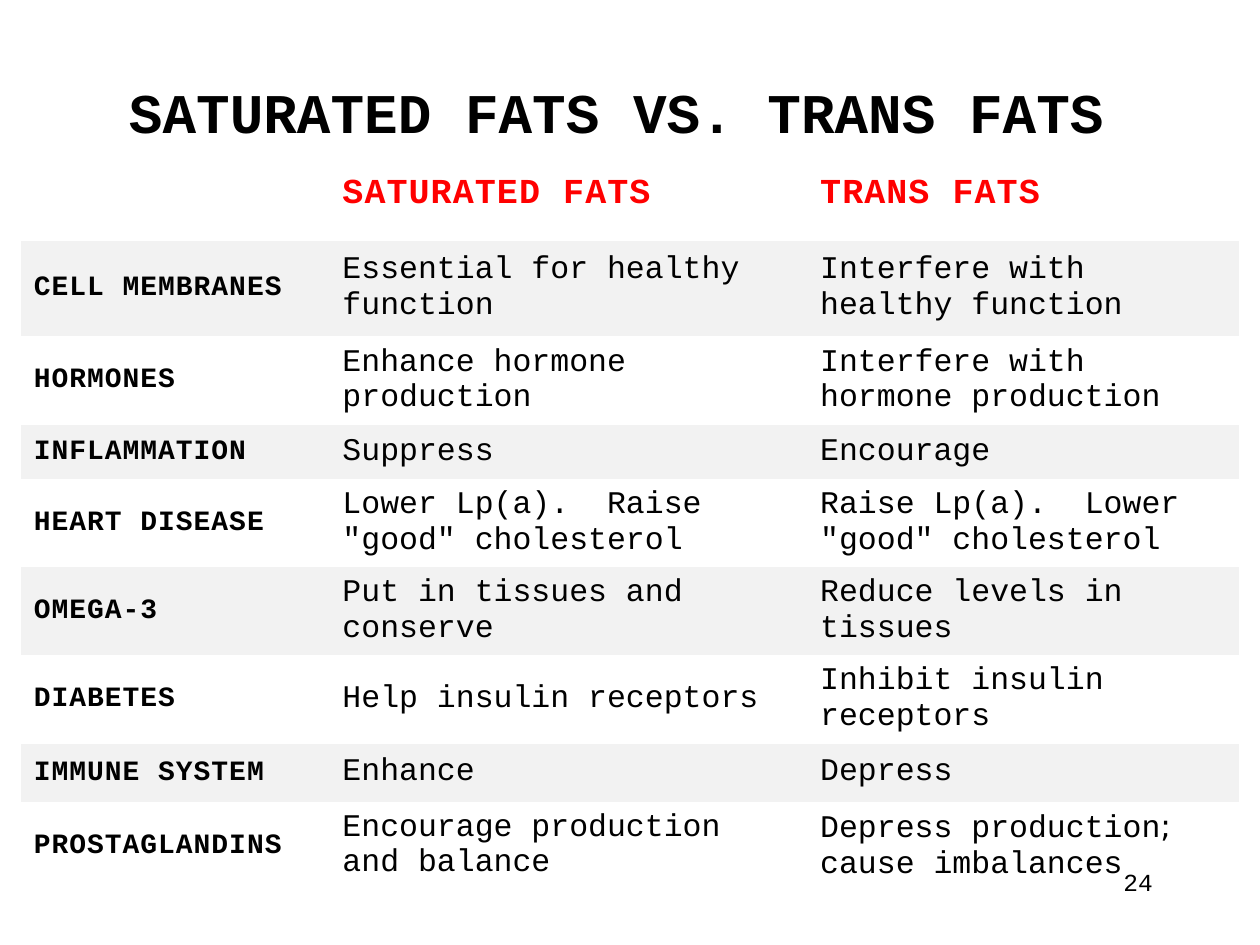
from dataclasses import dataclass

from pptx import Presentation
from pptx import util as u
from pptx.dml.color import RGBColor
from pptx.enum import text
from pptx.oxml.ns import qn

COLORS = {"ink": "000000", "heading": "FF0000", "band": "F2F2F2"}
FONT = "Courier New"
NO_STYLE_NO_GRID = "{2D5ABB26-0587-4C30-8999-92F81FD0307C}"
COLUMN_WIDTHS = (6.22, 9.63, 8.69)


@dataclass
class Row:
    height: float
    label: str
    saturated: str
    trans: str


ROWS = [
    Row(1.88, "", "SATURATED FATS", "TRANS FATS"),
    Row(1.93, "CELL MEMBRANES", "Essential for healthy function",
        "Interfere with healthy function"),
    Row(1.78, "HORMONES", "Enhance hormone production",
        "Interfere with hormone production"),
    Row(1.09, "INFLAMMATION", "Suppress", "Encourage"),
    Row(1.78, "HEART DISEASE", 'Lower Lp(a).  Raise "good" cholesterol',
        'Raise Lp(a).  Lower "good" cholesterol'),
    Row(1.78, "OMEGA-3", "Put in tissues and conserve", "Reduce levels in tissues"),
    Row(1.12, "DIABETES", "Help insulin receptors", "Inhibit insulin receptors"),
    Row(1.17, "IMMUNE SYSTEM", "Enhance", "Depress"),
    Row(1.78, "PROSTAGLANDINS", "Encourage production and balance",
        "Depress production; cause imbalances"),
]


def write(p, content: str, *, size: float, color: str = "ink", bold: bool = False,
          spacing: int = 0, font: str = FONT) -> None:
    """Add a run; spacing is in hundredths of a point."""
    r = p.add_run()
    r.text = content
    r.font.name = font
    r.font.size = u.Pt(size)
    r.font.bold = bold
    r.font.color.rgb = RGBColor.from_string(COLORS[color])
    if spacing:
        r.font._element.set("spc", str(spacing))


def add_text(s, content: str, box: tuple, *, align, anchor, **style) -> None:
    sp = s.shapes.add_textbox(*(u.Cm(v) for v in box))
    tf = sp.text_frame
    tf.word_wrap = True
    tf.vertical_anchor = anchor
    p = tf.paragraphs[0]
    p.alignment = align
    write(p, content, **style)


def fill_cell(cell, content: str, *, banded: bool, **style) -> None:
    cell.vertical_anchor = text.MSO_ANCHOR.MIDDLE
    if banded:
        cell.fill.solid()
        cell.fill.fore_color.rgb = RGBColor.from_string(COLORS["band"])
    else:
        cell.fill.background()
    p = cell.text_frame.paragraphs[0]
    # The semicolon is set in its own font
    before, mark, after = content.partition(";")
    for part, font in ((before, FONT), (mark, "DejaVu Sans"), (after, FONT)):
        if part:
            write(p, part, font=font, **style)


def add_comparison(s, rows: list[Row], left: float, top: float) -> None:
    frame = s.shapes.add_table(
        len(rows), len(COLUMN_WIDTHS), u.Cm(left), u.Cm(top),
        u.Cm(sum(COLUMN_WIDTHS)), u.Cm(sum(row.height for row in rows)))
    table = frame.table
    table.first_row = table.horz_banding = False
    table._tbl.tblPr.find(qn("a:tableStyleId")).text = NO_STYLE_NO_GRID
    for column, width in zip(table.columns, COLUMN_WIDTHS):
        column.width = u.Cm(width)

    heading = dict(size=20, color="heading", bold=True, spacing=60)
    label = dict(size=16, bold=True, spacing=60)
    body = dict(size=18)
    for i, row in enumerate(rows):
        table.rows[i].height = u.Cm(row.height)
        for j, content in enumerate((row.label, row.saturated, row.trans)):
            style = heading if i == 0 else label if j == 0 else body
            fill_cell(table.cell(i, j), content, banded=i % 2 == 1, **style)


def main() -> None:
    prs = Presentation()
    prs.slide_width, prs.slide_height = u.Cm(25.4), u.Cm(19.05)
    s = prs.slides.add_slide(prs.slide_layouts[6])

    # Title
    add_text(s, "SATURATED FATS VS. TRANS FATS ", (1.98, 0.97, 21.59, 2.54),
             align=text.PP_ALIGN.CENTER, anchor=text.MSO_ANCHOR.MIDDLE,
             size=32, bold=True)
    # Comparison table
    add_comparison(s, ROWS, left=0.43, top=2.97)
    # Page number
    add_text(s, "24", (18.21, 17.35, 5.28, 1.27),
             align=text.PP_ALIGN.RIGHT, anchor=text.MSO_ANCHOR.TOP, size=14)

    prs.save("out.pptx")


if __name__ == "__main__":
    main()
